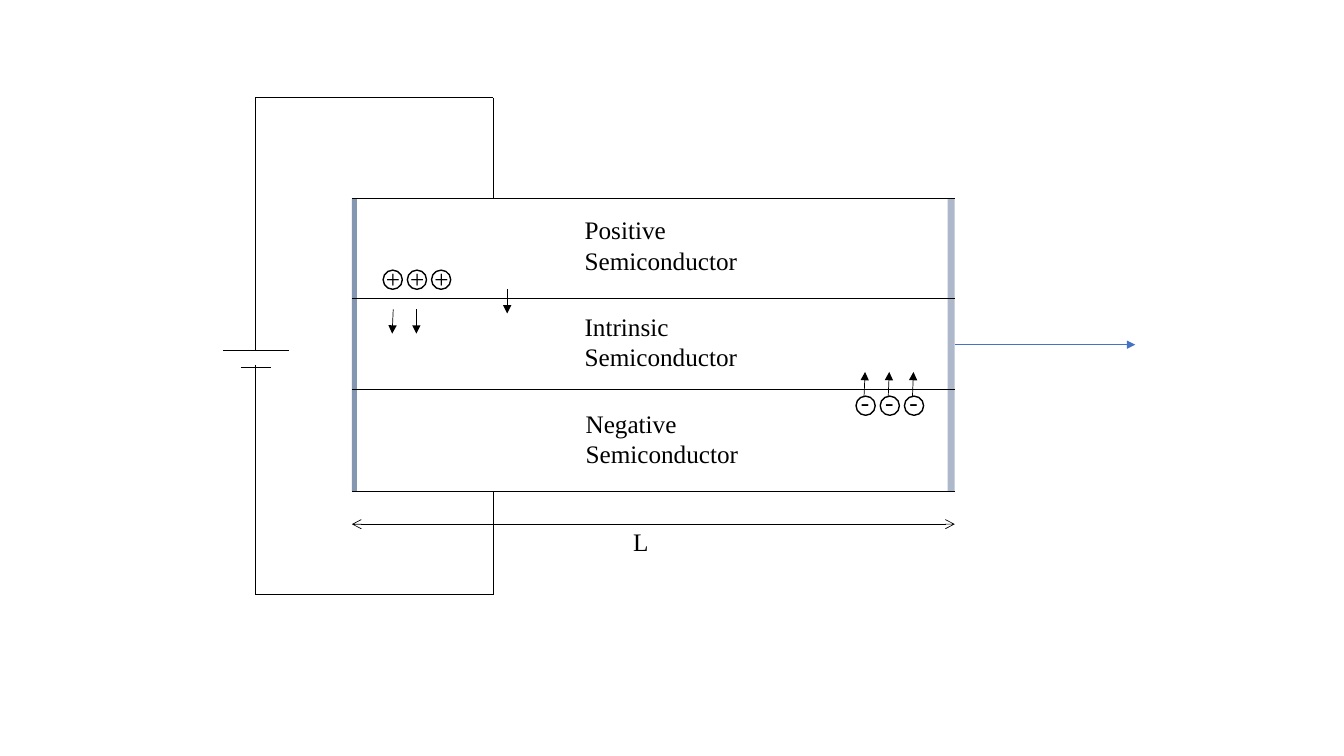
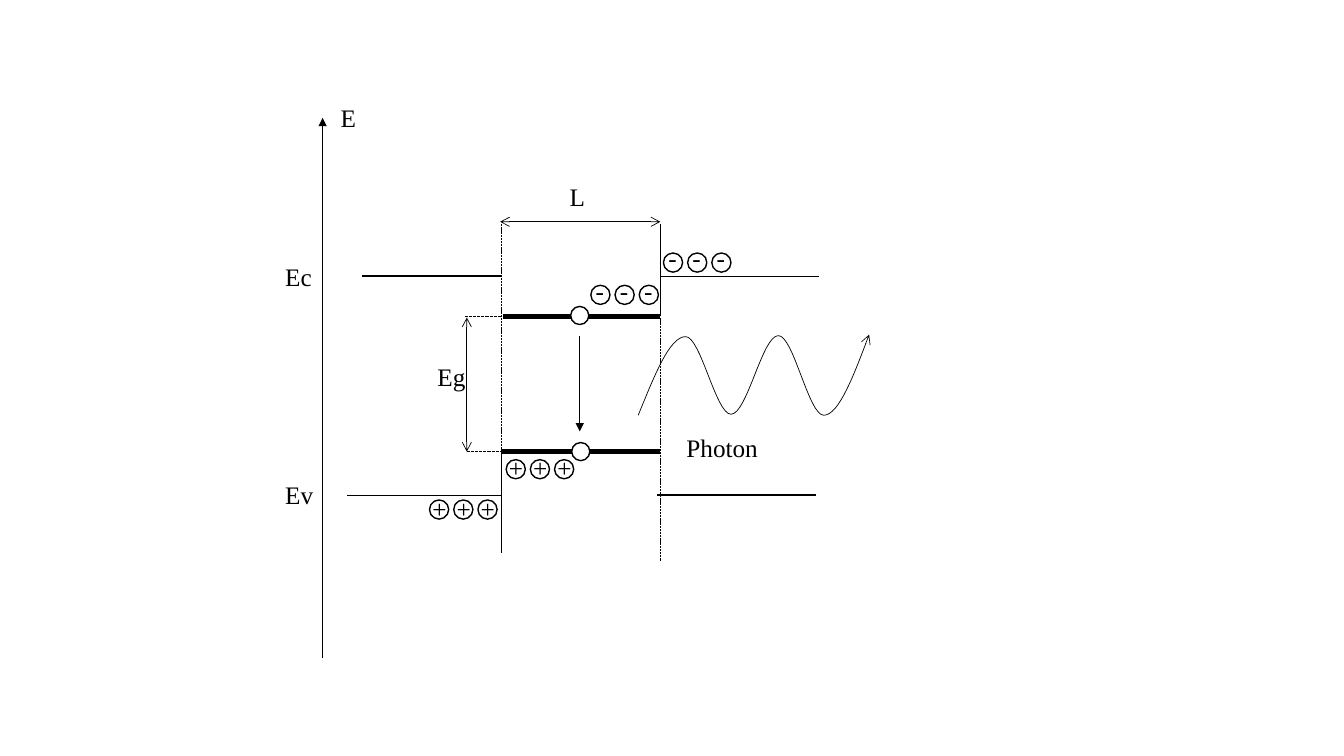
import pptx
import pptx.util
import pptx.dml.color
import pptx.enum.dml
import pptx.enum.shapes
import pptx.enum.text
import pptx.oxml
import pptx.oxml.ns

PX = 9144  # EMU per px, 100 px to the inch
SLIDE_SIZE = (1333, 750)
FONT, FONT_SIZE = "Times New Roman", 18
COLORS = {"ink": "000000", "paper": "FFFFFF", "light": "4472C4",
          "back_mirror": "8497B0", "front_mirror": "ADB9CA"}
SHAPES = pptx.enum.shapes.MSO_SHAPE

# Line styles: width in points, dash, arrowheads, colour
LINE_STYLES = {
    "thin": {},
    "medium": {"width": 1},
    "level": {"width": 3},
    "dashed": {"dashed": True},
    "guide": {"width": 0.75, "dashed": True},
    "arrow": {"tail": "triangle"},
    "light": {"tail": "triangle", "color": "light"},
    "dimension": {"head": "arrow", "tail": "arrow"},
}

# Charges: size and pitch, then the offset of each sign from its circle
CHARGE_SIZE, CHARGE_PITCH, CHARGE_COUNT = 19, 24, 3
SIGN_OFFSETS = {"+": (-7, -12), "-": (-5, -15)}
SIGN_BOX = (33, 40)

# Slide 1: laser diode in its circuit
LEFT, RIGHT, TOP, BOTTOM = 349, 947, 197, 487
WIRE_X, BATTERY_X = 489, 253
MIRRORS = [("back_mirror", LEFT, 5), ("front_mirror", RIGHT - 7, 7)]
LAYER_EDGES = [TOP, 296, 386, BOTTOM]
LIGHT_END = (1126, 342)
DIODE_LINES = {
    "thin": [(LEFT, y, RIGHT, y) for y in LAYER_EDGES] + [
        (WIRE_X, TOP, WIRE_X, 97), (WIRE_X, 97, BATTERY_X, 97),
        (BATTERY_X, 97, BATTERY_X, 348), (221, 348, 287, 348),
        (239, 364, 269, 364), (BATTERY_X, 362, BATTERY_X, 590),
        (BATTERY_X, 590, WIRE_X, 590), (WIRE_X, 590, WIRE_X, BOTTOM)],
    "dimension": [(LEFT, 520, RIGHT, 520)],
    "arrow": [(390, 307, 389, 331), (413, 307, 413, 331), (503, 287, 503, 311)]
    + [(857 + i * CHARGE_PITCH, 393, 858 + i * CHARGE_PITCH, 369)
       for i in range(CHARGE_COUNT)],
}
DIODE_TEXTS = [
    (["Positive", "Semiconductor"], 570, 208, 178, 71),
    (["Intrinsic", "Semiconductor"], 570, 304, 178, 71),
    (["Negative", "Semiconductor"], 571, 400, 178, 71),
    (["L"], 618, 517, 139, 40),
]
DIODE_CHARGES = [("+", 380, 268), ("-", 849, 393)]

# Slide 2: energy bands of the quantum well
WELL_LEFT, WELL_RIGHT = 497, 655
UPPER, LOWER = 314, 448
BAND_LINES = {
    "thin": [(344, 491, WELL_LEFT, 491), (WELL_RIGHT, 222, WELL_RIGHT, UPPER),
             (WELL_RIGHT, 274, 812, 274), (WELL_LEFT, LOWER, WELL_LEFT, 548)],
    "medium": [(359, 274, WELL_LEFT, 274), (652, 491, 809, 491)],
    "level": [(499, UPPER, WELL_RIGHT, UPPER), (WELL_LEFT, LOWER, WELL_RIGHT, LOWER)],
    "arrow": [(320, 653, 320, 117), (575, 333, 575, 428)],
    "dimension": [(463, LOWER, 463, 315), (496, 220, WELL_RIGHT, 220)],
    "dashed": [(WELL_LEFT, 222, WELL_LEFT, 548), (WELL_RIGHT, 315, WELL_RIGHT, 556)],
    "guide": [(463, LOWER, 499, LOWER), (461, UPPER, WELL_LEFT, UPPER)],
}
CARRIER_SIZE = 18
CARRIERS = [(566, 304), (567, 439)]
BAND_TEXTS = [([label], x, y, 139, 40) for label, x, y in [
    ("E", 328, 97), ("Ec", 273, 254), ("Ev", 273, 471),
    ("Eg", 424, 354), ("L", 555, 175), ("Photon", 671, 424)]]
BAND_CHARGES = [("+", 426, 496), ("+", 502, 456), ("-", 586, 283), ("-", 658, 251)]
WAVE_START = (633, 412)
WAVE_CURVES = [  # two control points and an end point each
    ((649, 373), (664, 334), (680, 334)),
    ((695, 334), (710, 411), (725, 411)),
    ((741, 411), (756, 333), (772, 333)),
    ((787, 333), (802, 412), (817, 412)),
    ((832, 412), (847, 372), (862, 332)),
]
WAVE_STEPS = 16


def emu(*lengths):
    return [round(length * PX) for length in lengths]


def rgb(name):
    return pptx.dml.color.RGBColor.from_string(COLORS[name])


def style_line(shape, width=0.5, dashed=False, head=None, tail=None, color="ink"):
    line = shape.line
    line.width = pptx.util.Pt(width)
    line.color.rgb = rgb(color)
    if dashed:
        line.dash_style = pptx.enum.dml.MSO_LINE.SQUARE_DOT
    for tag, kind in (("a:headEnd", head), ("a:tailEnd", tail)):
        if kind:
            end = pptx.oxml.parse_xml(f"<{tag} {pptx.oxml.ns.nsdecls('a')} type='{kind}'/>")
            line._get_or_add_ln().append(end)


def add_line(shapes, ends, style):
    connector = shapes.add_connector(pptx.enum.shapes.MSO_CONNECTOR.STRAIGHT, *emu(*ends))
    style_line(connector, **LINE_STYLES[style])
    connector._element.spPr.append(
        pptx.oxml.parse_xml(f"<a:effectLst {pptx.oxml.ns.nsdecls('a')}/>"))
    return connector


def add_filled(shapes, kind, box, fill=None, outline=None):
    shape = shapes.add_shape(kind, *emu(*box))
    shape.shadow.inherit = False
    if fill:
        shape.fill.solid()
        shape.fill.fore_color.rgb = rgb(fill)
    else:
        shape.fill.background()
    if outline:
        style_line(shape, outline)
    else:
        shape.line.fill.background()
    return shape


def add_text(shapes, lines, *box):
    frame = shapes.add_textbox(*emu(*box)).text_frame
    frame.word_wrap = True
    frame.auto_size = pptx.enum.text.MSO_AUTO_SIZE.SHAPE_TO_FIT_TEXT
    for i, line in enumerate(lines):
        paragraph = frame.add_paragraph() if i else frame.paragraphs[0]
        run = paragraph.add_run()
        run.text = line
        run.font.name = FONT
        run.font.size = pptx.util.Pt(FONT_SIZE)
        run.font.color.rgb = rgb("ink")


def add_charges(slide, sign, left, top):
    group = slide.shapes.add_group_shape().shapes
    dx, dy = SIGN_OFFSETS[sign]
    for i in range(CHARGE_COUNT):
        x = left + i * CHARGE_PITCH
        add_text(group, [sign], x + dx, top + dy, *SIGN_BOX)
        add_filled(group, SHAPES.OVAL, (x, top, CHARGE_SIZE, CHARGE_SIZE), outline=1)


def add_diagram(slide, lines, texts, charges):
    for style, segments in lines.items():
        for ends in segments:
            add_line(slide.shapes, ends, style)
    for text in texts:
        add_text(slide.shapes, *text)
    for charge in charges:
        add_charges(slide, *charge)


def wave_points():
    start = WAVE_START
    for first, second, end in WAVE_CURVES:
        for step in range(1, WAVE_STEPS + 1):
            t = step / WAVE_STEPS
            u = 1 - t
            yield emu(*(u**3 * a + 3 * u * u * t * b + 3 * u * t * t * c + t**3 * d
                        for a, b, c, d in zip(start, first, second, end)))
        start = end


def build_diode(slide):
    # Mirrors, with the emitted light leaving the front one
    for name, x, width in MIRRORS:
        mirror = add_filled(slide.shapes, SHAPES.RECTANGLE,
                            (x, TOP, width, BOTTOM - TOP), fill=name)
    light = add_line(slide.shapes, (RIGHT, LIGHT_END[1], *LIGHT_END), "light")
    light.begin_connect(mirror, 3)
    add_diagram(slide, DIODE_LINES, DIODE_TEXTS, DIODE_CHARGES)


def build_bands(slide):
    add_diagram(slide, BAND_LINES, BAND_TEXTS, BAND_CHARGES)
    # Recombining carriers
    for x, y in CARRIERS:
        add_filled(slide.shapes, SHAPES.OVAL, (x, y, CARRIER_SIZE, CARRIER_SIZE),
                   fill="paper", outline=1)
    # Photon wave
    builder = slide.shapes.build_freeform(*emu(*WAVE_START))
    builder.add_line_segments(list(wave_points()), close=False)
    wave = builder.convert_to_shape()
    wave.shadow.inherit = False
    wave.fill.background()
    style_line(wave, tail="arrow")


def main():
    deck = pptx.Presentation()
    deck.slide_width, deck.slide_height = emu(*SLIDE_SIZE)
    for build in (build_diode, build_bands):
        build(deck.slides.add_slide(deck.slide_layouts[6]))
    deck.save("out.pptx")


if __name__ == "__main__":
    main()
